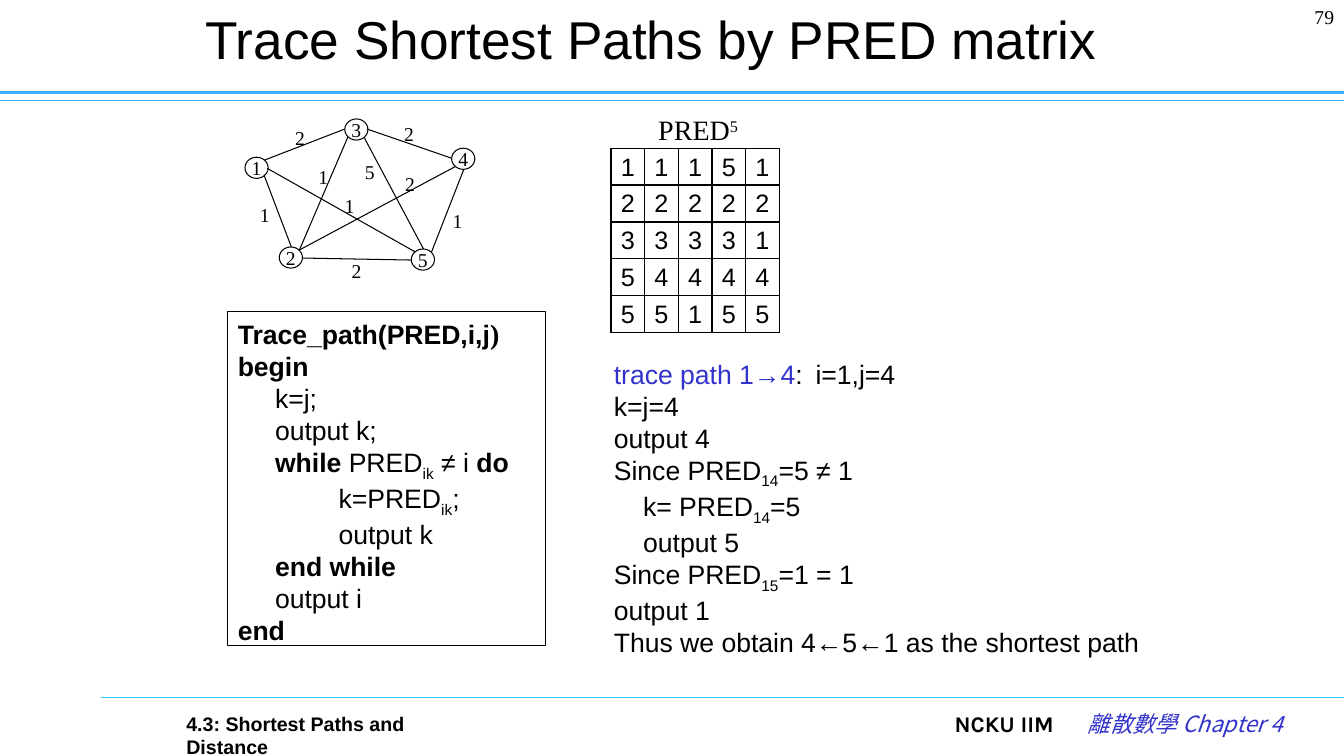
"""Build the slide on tracing shortest paths with the PRED matrix."""
from lxml.etree import SubElement
from pptx import Presentation
from pptx.dml.color import RGBColor
from pptx.enum.shapes import MSO_CONNECTOR, MSO_SHAPE
from pptx.enum.text import MSO_ANCHOR, PP_ALIGN
from pptx.oxml.ns import qn
from pptx.util import Inches, Pt

BLACK, BLUE, SKY, CYAN = "000000", "3333CC", "3DB0FF", "33CCFF"
SERIF, SANS = "Times New Roman", "Arial"
BOLD, SUB, SUPER = {"bold": True}, {"baseline": -25000}, {"baseline": 30000}


def write_text(frame, paragraphs, size, font_name, align=PP_ALIGN.LEFT, wrap=True, bold=False, color=BLACK):
    frame.word_wrap = wrap
    for index, (indent, runs) in enumerate(paragraphs):
        paragraph = frame.paragraphs[0] if index == 0 else frame.add_paragraph()
        paragraph.alignment = align
        properties = paragraph._p.get_or_add_pPr()
        properties.set("marL", str(Inches(indent)))
        properties.set("indent", "0")
        if any("\t" in text for text, style in runs):
            tabs = SubElement(properties, qn("a:tabLst"))
            SubElement(tabs, qn("a:tab"), pos=str(Inches(2.09)), algn="l")
        paragraph.font.size = Pt(size)
        paragraph.font.name = font_name
        paragraph.font.bold = bold
        paragraph.font.color.rgb = RGBColor.from_string(color)
        for text, style in runs:
            run = paragraph.add_run()
            run.text = text
            if "bold" in style:
                run.font.bold = style["bold"]
            if "color" in style:
                run.font.color.rgb = RGBColor.from_string(style["color"])
            if "baseline" in style:
                run._r.get_or_add_rPr().set("baseline", str(style["baseline"]))
            if "font" in style:
                run.font.name = style["font"]
                run.font.size = Pt(style["size"])


def draw_line(start, end, color=BLACK, width=0.75):
    points = [Inches(value) for value in (*start, *end)]
    line = slide.shapes.add_connector(MSO_CONNECTOR.STRAIGHT, *points)
    line.line.color.rgb = RGBColor.from_string(color)
    line.line.width = Pt(width)
    SubElement(line._element.spPr, qn("a:effectLst"))


presentation = Presentation()
presentation.slide_width = Inches(13.33)
presentation.slide_height = Inches(7.5)
slide = presentation.slides.add_slide(presentation.slide_layouts[5])

draw_line((0, 1), (13.33, 1), SKY)
draw_line((0, 0.92), (13.33, 0.92), SKY, 2.5)
draw_line((1, 6.92), (13.33, 6.92), CYAN)

title = slide.shapes.title
title.left, title.top, title.width, title.height = [Inches(value) for value in (1.74, 0, 9.44, 0.75)]
title.text_frame.vertical_anchor = MSO_ANCHOR.MIDDLE
write_text(title.text_frame, [(0, [("Trace Shortest Paths by PRED matrix", {})])], 38, SANS, PP_ALIGN.CENTER)

pred = [
    (1, 1, 1, 5, 1),
    (2, 2, 2, 2, 2),
    (3, 3, 3, 3, 1),
    (5, 4, 4, 4, 4),
    (5, 5, 1, 5, 5),
]
matrix_shape = slide.shapes.add_table(5, 5, Inches(6.06), Inches(1.47), Inches(1.67), Inches(1.83))
matrix = matrix_shape.table
matrix.first_row = matrix.horz_banding = False
for row, values in enumerate(pred):
    for column, value in enumerate(values):
        cell = matrix.cell(row, column)
        cell.margin_left = cell.margin_right = cell.margin_bottom = 0
        cell.margin_top = Inches(0.05)
        write_text(cell.text_frame, [(0, [(str(value), {})])], 18, SANS, PP_ALIGN.CENTER)
        cell_properties = cell._tc.get_or_add_tcPr()
        for side in ("a:lnL", "a:lnR", "a:lnT", "a:lnB"):
            border = SubElement(cell_properties, qn(side), w=str(Pt(1)))
            SubElement(SubElement(border, qn("a:solidFill")), qn("a:srgbClr"), val=BLACK)
        cell.fill.background()

nodes = [("1", 2.43, 1.56), ("2", 2.77, 2.45), ("4", 4.48, 1.47), ("3", 3.42, 1.18), ("5", 4.08, 2.47)]
for name, left, top in nodes:
    node = slide.shapes.add_shape(
        MSO_SHAPE.FLOWCHART_CONNECTOR, Inches(left), Inches(top), Inches(0.23), Inches(0.21))
    node.shadow.inherit = False
    node.fill.background()
    node.line.color.rgb = RGBColor.from_string(BLACK)
    node.line.width = Pt(0.75)
    node.text_frame.vertical_anchor = MSO_ANCHOR.MIDDLE
    write_text(node.text_frame, [(0, [(name, {})])], 14, SERIF, PP_ALIGN.CENTER, wrap=False)

edges = [
    ((2.62, 1.74), (2.89, 2.45)),
    ((2.97, 2.48), (3.45, 1.36)),
    ((3.64, 1.28), (4.48, 1.57)),
    ((3.61, 1.36), (4.2, 2.47)),
    ((4.6, 1.68), (4.28, 2.5)),
    ((4.52, 1.65), (2.97, 2.48)),
    ((4.08, 2.58), (3, 2.56)),
    ((2.65, 1.67), (4.12, 2.5)),
    ((2.62, 1.59), (3.42, 1.28)),
]
for start, end in edges:
    draw_line(start, end)

weights = [
    ("2", 2.83, 1.2), ("1", 3.06, 1.59), ("2", 3.39, 2.52), ("2", 3.92, 1.66), ("1", 3.32, 1.87),
    ("2", 3.91, 1.16), ("1", 4.39, 2.02), ("1", 2.48, 1.96), ("5", 3.52, 1.54),
]
for weight, left, top in weights:
    label = slide.shapes.add_textbox(Inches(left), Inches(top), Inches(0.3), Inches(0.34))
    write_text(label.text_frame, [(0, [(weight, {})])], 14, SERIF, wrap=False)

algorithm = slide.shapes.add_shape(
    MSO_SHAPE.RECTANGLE, Inches(2.26), Inches(3.09), Inches(3.15), Inches(3.31))
algorithm.shadow.inherit = False
algorithm.fill.background()
algorithm.line.color.rgb = RGBColor.from_string(BLACK)
algorithm.line.width = Pt(0.75)
algorithm.text_frame.vertical_anchor = MSO_ANCHOR.TOP
write_text(algorithm.text_frame, [
    (0, [("Trace_path(PRED,i,j", BOLD), (")", {"bold": True, "font": SERIF, "size": 20})]),
    (0, [("begin", BOLD)]),
    (0.37, [("k=j;", {})]),
    (0.37, [("output k;", {})]),
    (0.37, [("while", BOLD), (" PRED", {}), ("ik", SUB), (" ≠ i ", {}), ("do", BOLD)]),
    (1, [("k=PRED", {}), ("ik", SUB), (";", {})]),
    (1, [("output k", {})]),
    (0.37, [("end while", BOLD)]),
    (0.37, [("output i", {})]),
    (0, [("end", BOLD)]),
], 19, SANS)

trace = slide.shapes.add_textbox(Inches(5.99), Inches(3.5), Inches(5.48), Inches(2.98))
write_text(trace.text_frame, [
    (0, [("trace path 1→4", {"color": BLUE}), (":\ti=1,j=4", {})]),
    (0, [("k=j=4", {})]),
    (0, [("output 4", {})]),
    (0, [("Since PRED", {}), ("14", SUB), ("=5 ≠ 1", {})]),
    (0.29, [("k= PRED", {}), ("14", SUB), ("=5", {})]),
    (0.29, [("output 5", {})]),
    (0, [("Since PRED", {}), ("15", SUB), ("=1 = 1", {})]),
    (0, [("output 1", {})]),
    (0, [("Thus we obtain 4←5←1 as the shortest path", {})]),
], 19, SANS)

captions = [
    (6.43, 1.07, 1.01, 0.44, [("PRED", {}), ("5", SUPER)], 20, SERIF, PP_ALIGN.LEFT, False, BLACK),
    (12.22, 0, 1.11, 0.5, [("79", {})], 14, SERIF, PP_ALIGN.RIGHT, False, BLACK),
    (1.75, 7.01, 2.9, 0.33, [("4.3: Shortest Paths and Distance", {})], 14, SANS, PP_ALIGN.LEFT, True, BLACK),
    (8.55, 7, 2, 0.5, [("NCKU IIM", {})], 16, "Karla", PP_ALIGN.RIGHT, True, BLACK),
    (10.02, 7, 2.8, 0.5, [("離散數學 Chapter 4", {})], 16, "Noto Sans CJK SC", PP_ALIGN.RIGHT, False, BLUE),
]
for left, top, width, height, runs, size, font_name, align, bold, color in captions:
    caption = slide.shapes.add_textbox(Inches(left), Inches(top), Inches(width), Inches(height))
    write_text(caption.text_frame, [(0, runs)], size, font_name, align, bold=bold, color=color)

chapter_run = caption.text_frame.paragraphs[0].runs[0]
chapter_run.font.italic = True
SubElement(chapter_run._r.get_or_add_rPr(), qn("a:ea"), typeface="Noto Sans CJK SC")

presentation.save("out.pptx")
